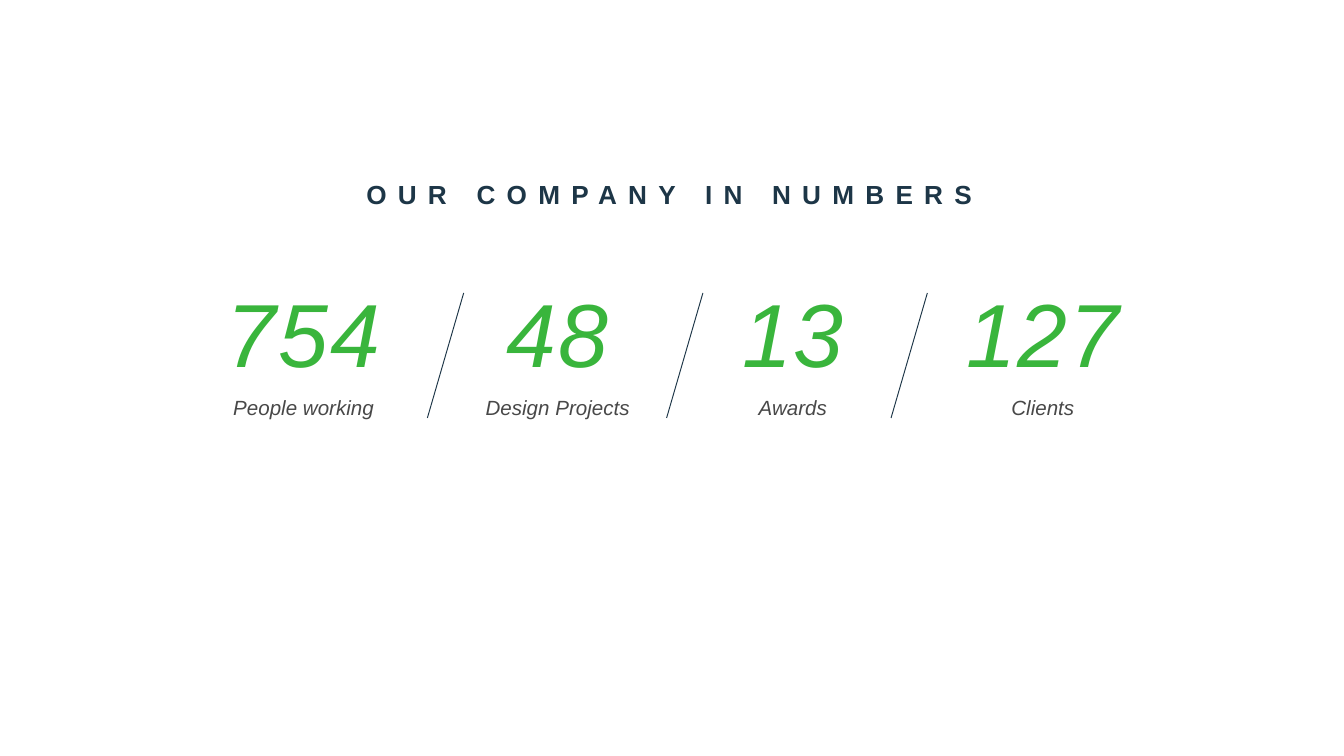
"""Builds a slide of four company figures parted by slanted rules."""
from dataclasses import dataclass

from lxml import etree
from pptx import Presentation
from pptx import util as u
from pptx.dml.color import RGBColor
from pptx.enum import shapes, text
from pptx.oxml import ns


@dataclass(frozen=True)
class Theme:
    """Holds the colours, type sizes and letter spacing of the slide."""
    font: str = "Arial"
    navy: RGBColor = RGBColor(0x1D, 0x36, 0x47)
    green: RGBColor = RGBColor(0x39, 0xB5, 0x3C)
    grey: RGBColor = RGBColor(0x48, 0x48, 0x48)
    heading_size: int = 14
    figure_size: int = 48
    caption_size: int = 11
    rule_width: float = 0.5
    heading_spacing: int = 600
    figure_spacing: int = 110


THEME = Theme()
SLIDE_WIDTH = 10
SLIDE_HEIGHT = SLIDE_WIDTH * 9 / 16
STATS = [
    (1.43, "754", "People working"),
    (3.32, "48", "Design Projects"),
    (5.07, "13", "Awards"),
    (6.93, "127", "Clients"),
]
STAT_WIDTH = 1.66
RULE_LEFTS = (3.18, 4.96, 6.63)
RULE_SLANT = 0.27


def add_label(slide, wording, place, size, color, spacing=0, wrap=True, **style):
    """Adds one centred line of text at place (left, top, width, height)."""
    label = slide.shapes.add_textbox(*map(u.Inches, place))
    frame = label.text_frame
    frame.word_wrap = wrap
    frame.auto_size = text.MSO_AUTO_SIZE.SHAPE_TO_FIT_TEXT
    line = frame.paragraphs[0]
    line.alignment = text.PP_ALIGN.CENTER
    run = line.add_run()
    run.text = wording
    formats = {"name": THEME.font, "size": u.Pt(size), **style}
    for attribute, value in formats.items():
        setattr(run.font, attribute, value)
    run.font.color.rgb = color
    if spacing:
        run._r.get_or_add_rPr().set("spc", str(spacing))


def add_stat(slide, left, figure, caption):
    """Adds a large figure with its caption below."""
    add_label(slide, figure, (left, 2.02, STAT_WIDTH, 0.91), THEME.figure_size,
              THEME.green, THEME.figure_spacing, italic=True)
    add_label(slide, caption, (left, 2.89, STAT_WIDTH, 0.29),
              THEME.caption_size, THEME.grey, italic=True)


def add_rule(slide, left):
    """Adds a slanted rule whose foot stands at left."""
    ends = (left + RULE_SLANT, 2.18, left, 3.11)
    rule = slide.shapes.add_connector(
        shapes.MSO_CONNECTOR.STRAIGHT, *map(u.Inches, ends))
    rule.line.color.rgb = THEME.navy
    rule.line.width = u.Pt(THEME.rule_width)
    etree.SubElement(rule._element.spPr, ns.qn("a:effectLst"))


def main():
    """Builds and saves the slide."""
    deck = Presentation()
    deck.slide_width = u.Inches(SLIDE_WIDTH)
    deck.slide_height = u.Inches(SLIDE_HEIGHT)
    slide = deck.slides.add_slide(deck.slide_layouts[6])
    add_label(slide, "OUR COMPANY IN NUMBERS", (2.4, 1.28, 5.16, 0.34),
              THEME.heading_size, THEME.navy, THEME.heading_spacing,
              wrap=False, bold=True)
    for stat in STATS:
        add_stat(slide, *stat)
    for left in RULE_LEFTS:
        add_rule(slide, left)
    deck.save("out.pptx")


if __name__ == "__main__":
    main()
